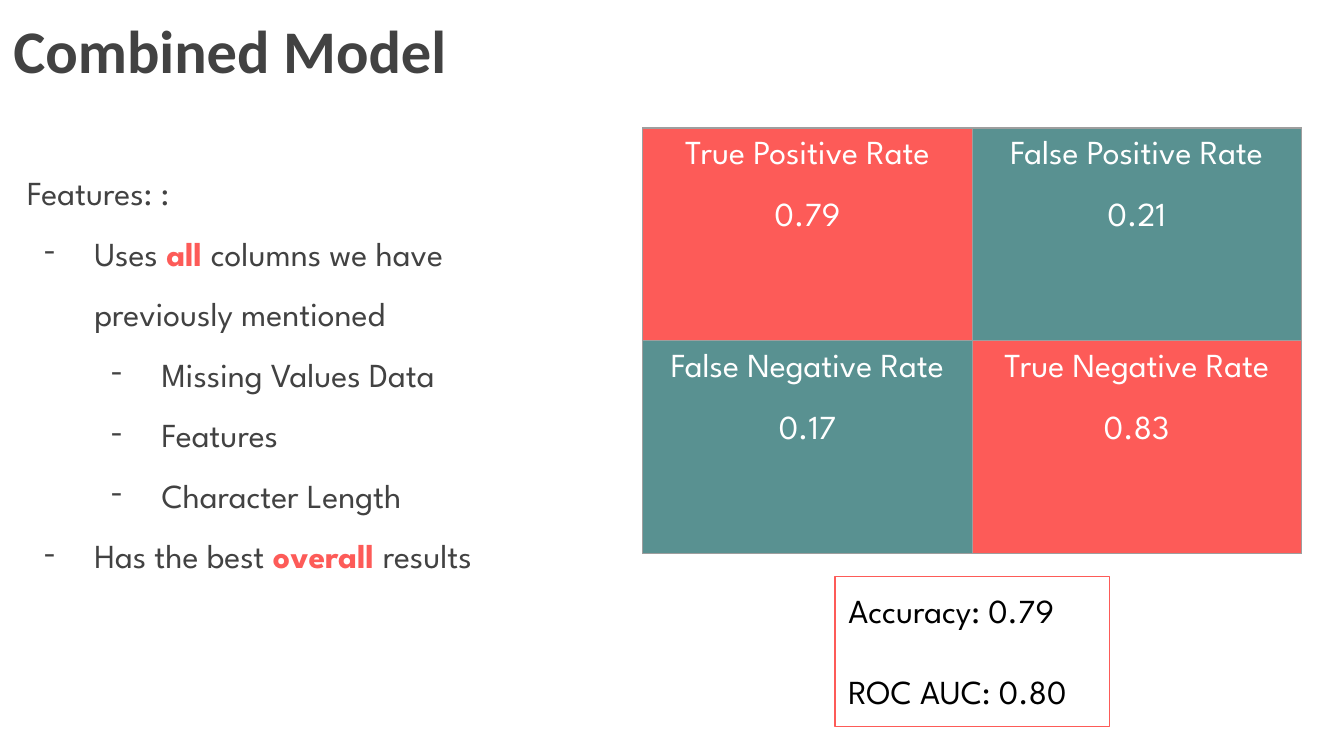
from dataclasses import dataclass
from lxml.etree import SubElement
from pptx import Presentation
from pptx.dml.color import RGBColor as Rgb
from pptx.enum.shapes import MSO_SHAPE as Kind
from pptx.enum.text import MSO_ANCHOR as Anchor, PP_ALIGN as Align
from pptx.oxml.ns import qn
from pptx.slide import Slide
from pptx.text.text import TextFrame as Frame
from pptx.util import Emu, Inches, Pt

WIDE = Inches(10)
HIGH = Emu(WIDE * 9 // 16)
FONT = "League Spartan"
CORAL = Rgb(0xFD, 0x5B, 0x58)
TEAL = Rgb(0x59, 0x91, 0x91)
DARK = Rgb(0x42, 0x42, 0x42)
EDGE = Rgb(0x9E, 0x9E, 0x9E)
WHITE = Rgb(0xFF, 0xFF, 0xFF)
BLACK = Rgb(0, 0, 0)


@dataclass(frozen=True)
class Rate:
    row: int
    col: int
    name: str
    score: str

    @property
    def fill(self) -> Rgb:
        return CORAL if self.row == self.col else TEAL


@dataclass(frozen=True)
class Line:
    text: str
    level: int = 0
    gap: float = 1


RATES = [
    Rate(0, 0, "True Positive Rate", "0.79"),
    Rate(0, 1, "False Positive Rate", "0.21"),
    Rate(1, 0, "False Negative Rate", "0.17"),
    Rate(1, 1, "True Negative Rate", "0.83"),
]
LINES = [
    Line("Features: :", gap=2),
    Line("Uses *all *columns we have previously mentioned", 1, 1.5),
    Line("Missing Values Data", 2, 1.5),
    Line("Features", 2, 1.5),
    Line("Character Length", 2, 1.5),
    Line("Has the best *overall *results", 1, 1.5),
]


def area(x: float, y: float, w: float, h: float) -> tuple[Emu, ...]:
    """Turn percentages of the slide's size into lengths."""
    return tuple(Emu(round(part * whole / 100))
                 for part, whole in zip((x, y, w, h), (WIDE, HIGH) * 2))


def dash(props, level: int) -> None:
    """Give a paragraph a hanging dash at its level."""
    props.set("marL", str(Inches(level / 2)))
    props.set("indent", str(Inches(-0.38)))
    props.set("lvl", str(level - 1))
    SubElement(SubElement(props, qn("a:buClr")), qn("a:srgbClr"), val=str(DARK))
    SubElement(props, qn("a:buFont"), typeface=FONT)
    SubElement(props, qn("a:buChar"), char="-")


def write(frame: Frame, lines: list[Line], *, size: float = 18, font: str = FONT,
          color: Rgb = DARK, bold: bool = False, align: Align = Align.LEFT,
          before: float = 0) -> None:
    """Write lines of text, with parts between asterisks in bold coral."""
    frame.word_wrap = True
    frame.vertical_anchor = Anchor.TOP
    frame.margin_left = frame.margin_right = frame.margin_top = frame.margin_bottom = Inches(0.1)
    for i, line in enumerate(lines):
        para = frame.paragraphs[0] if i == 0 else frame.add_paragraph()
        para.alignment, para.line_spacing = align, line.gap
        para.space_before = Pt(before if i else 0)
        for j, part in enumerate(line.text.split("*")):
            run = para.add_run()
            run.text = part
            run.font.size, run.font.name = Pt(size), font
            run.font.bold = bold or j % 2 == 1
            run.font.color.rgb = CORAL if j % 2 else color
        if line.level:
            dash(para._p.get_or_add_pPr(), line.level)


def draw_title(slide: Slide) -> None:
    """Place and format the title."""
    title = slide.shapes.title
    title.left, title.top, title.width, title.height = area(0, 0, 76.9, 12.44)
    write(title.text_frame, [Line("Combined Model")], size=32.4, font="Calibri", bold=True)


def draw_rates(slide: Slide) -> None:
    """Draw the two by two table of rates."""
    table = slide.shapes.add_table(2, 2, *area(47.83, 16.93, 49, 56.3)).table
    table.first_row = table.horz_banding = False
    for rate in RATES:
        cell = table.cell(rate.row, rate.col)
        write(cell.text_frame, [Line(rate.name), Line(rate.score)],
              color=WHITE, align=Align.CENTER, before=16.5)
        cell.margin_left = cell.margin_right = cell.margin_top = cell.margin_bottom = Inches(0.1)
        props = cell._tc.get_or_add_tcPr()
        for side in ("lnL", "lnR", "lnT", "lnB"):
            edge = SubElement(props, qn(f"a:{side}"), w=str(Pt(0.75)), cap="flat", cmpd="sng")
            SubElement(SubElement(edge, qn("a:solidFill")), qn("a:srgbClr"), val=str(EDGE))
            SubElement(edge, qn("a:prstDash"), val="solid")
        cell.fill.solid()
        cell.fill.fore_color.rgb = rate.fill


def draw_score(slide: Slide) -> None:
    """Draw the outlined box of overall scores."""
    box = slide.shapes.add_shape(Kind.RECTANGLE, *area(62.14, 76.3, 20.4, 19.8))
    box.shadow.inherit = False
    box.fill.background()
    box.line.color.rgb, box.line.width = CORAL, Pt(0.75)
    write(box.text_frame, [Line("Accuracy: 0.79"), Line("ROC AUC: 0.80")],
          color=BLACK, before=21.6)


def main() -> None:
    """Build and save the slide."""
    deck = Presentation()
    deck.slide_width, deck.slide_height = WIDE, HIGH
    slide = deck.slides.add_slide(deck.slide_layouts[5])
    draw_title(slide)
    body = slide.shapes.add_textbox(*area(1.04, 15.65, 39.7, 74.3))
    write(body.text_frame, LINES)
    draw_rates(slide)
    draw_score(slide)
    deck.save("out.pptx")


if __name__ == "__main__":
    main()
